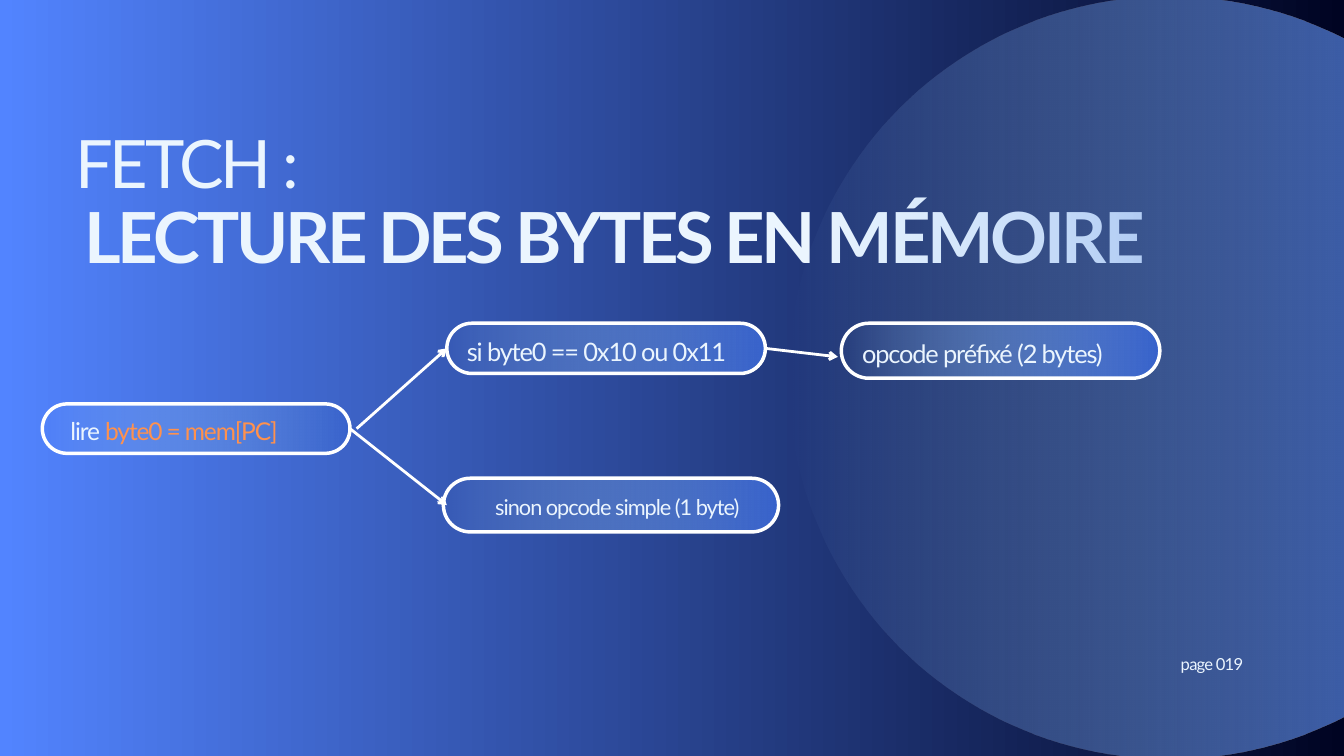
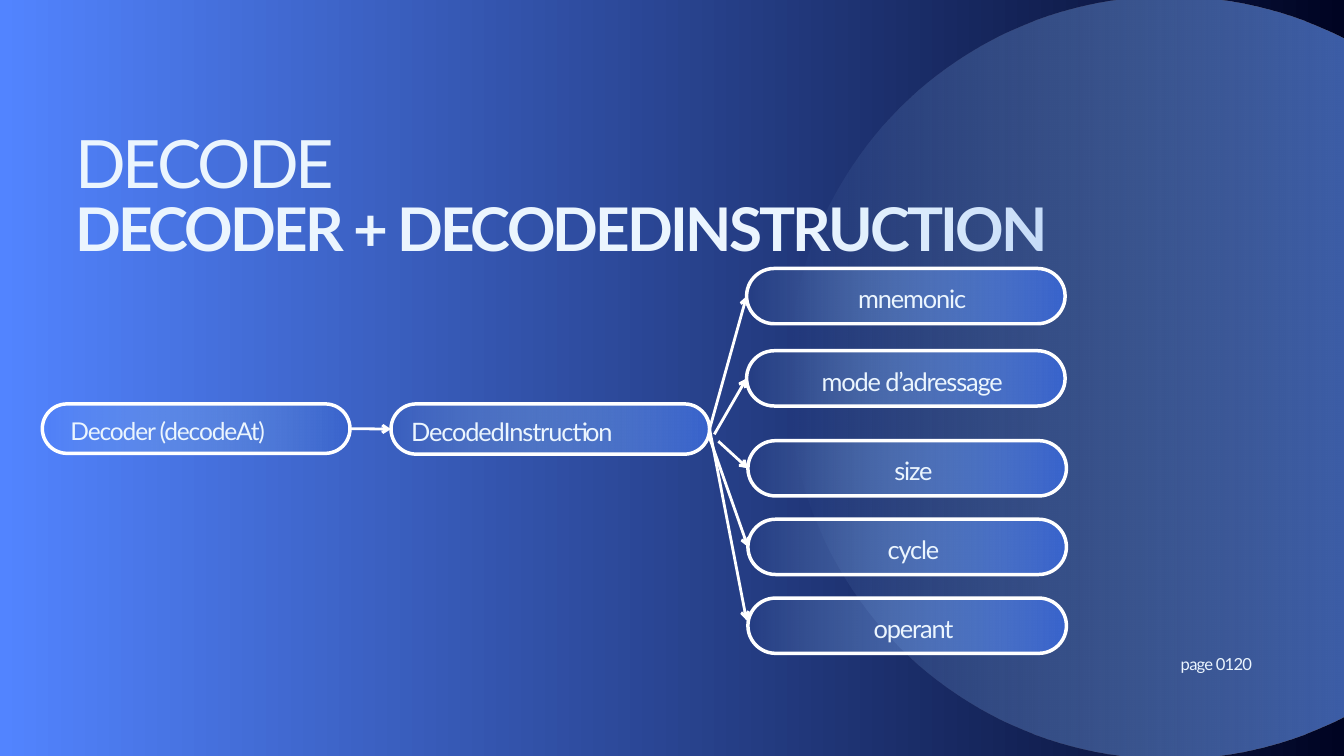
"""Build two slides on the fetch and decode steps of a processor emulator."""
from lxml import etree
from pptx import Presentation
from pptx.dml.color import RGBColor
from pptx.enum.shapes import MSO_CONNECTOR, MSO_SHAPE
from pptx.enum.text import MSO_ANCHOR, MSO_AUTO_SIZE, PP_ALIGN
from pptx.oxml.ns import qn
from pptx.util import Cm, Pt

LEFT, CENTER = PP_ALIGN.LEFT, PP_ALIGN.CENTER
TOP, MIDDLE = MSO_ANCHOR.TOP, MSO_ANCHOR.MIDDLE
NO_AUTOFIT = MSO_AUTO_SIZE.NONE
PILL, DISC = MSO_SHAPE.ROUNDED_RECTANGLE, MSO_SHAPE.OVAL
STRAIGHT = MSO_CONNECTOR.STRAIGHT
LEFT_SITE, RIGHT_SITE = 1, 3

FONT = "Lato"
PALE, WHITE, ORANGE = "EBF5FE", "FFFFFF", "FF914D"
NIGHT = ("5284FF", "000422")
GLASS = ("9FCDFF", "3964CD")


def color(value):
    return RGBColor.from_string(value)


def cm(*values):
    return [Cm(value) for value in values]


def paint_gradient(fill, colors):
    fill.gradient()
    fill.gradient_angle = 0
    for stop, value in zip(fill.gradient_stops, colors):
        stop.color.rgb = color(value)


def add_glass(slide, kind, box):
    """Add a shape whose fill fades in from clear to blue."""
    glass = slide.shapes.add_shape(kind, *cm(*box))
    glass.shadow.inherit = False
    paint_gradient(glass.fill, GLASS)
    clear = glass.element.spPr.find(".//" + qn("a:srgbClr"))
    etree.SubElement(clear, qn("a:alpha")).set("val", "0")
    return glass


def write(frame, parts, size, align=LEFT, anchor=TOP, indent=0, bold=False):
    """Write one paragraph of (text, color) parts; None keeps the pale color."""
    frame.word_wrap = True
    frame.auto_size = NO_AUTOFIT
    frame.vertical_anchor = anchor
    frame.margin_top = frame.margin_right = frame.margin_bottom = 0
    frame.margin_left = Cm(indent)
    line = frame.paragraphs[0]
    line.alignment = align
    line.space_before = Pt(0)
    line.line_spacing = Pt(size * 1.4)
    line.font.name = FONT
    line.font.size = Pt(size)
    line.font.bold = bold
    line.font.color.rgb = color(PALE)
    tracking = str(round(-4.6 * size))
    line._p.pPr.find(qn("a:defRPr")).set("spc", tracking)
    for text, tint in parts:
        run = line.add_run()
        run.text = text
        if tint:
            run.font.color.rgb = color(tint)


def place(holder, box, text, size, bold=False):
    holder.left, holder.top, holder.width, holder.height = cm(*box)
    write(holder.text_frame, [(text, None)], size, bold=bold)


def add_page(deck, step, subject, subject_box, subject_size, number):
    """Add a slide with the shared background, heading and page number."""
    slide = deck.slides.add_slide(deck.slide_layouts[0])
    paint_gradient(slide.background.fill, NIGHT)
    add_glass(slide, DISC, (29.82, -0.13, 28.8, 28.8)).line.fill.background()
    place(slide.shapes.title, (2.84, 4.09, 47.96, 3.38), step, 71.5)
    place(slide.placeholders[1], subject_box, subject, subject_size, True)
    footer = slide.shapes.add_textbox(*cm(44.63, 24.61, 3.3, 0.84))
    write(footer.text_frame, [(number, None)], 17.8)
    return slide


def add_pill(slide, box, parts, size=27.2, align=LEFT, indent=0.48):
    pill = add_glass(slide, PILL, box)
    pill.adjustments[0] = 0.5
    pill.line.color.rgb = color(WHITE)
    pill.line.width = Pt(3.75)
    write(pill.text_frame, parts, size, align, MIDDLE, indent)
    return pill


def add_entry(slide, parts):
    return add_pill(slide, (1.6, 15.27, 11.63, 1.87), parts, 26.3, indent=0.79)


def add_arrow(slide, source, target, start=(0, 0), end=(0, 0)):
    """Join two pills, gluing each end that has no offset."""
    start_x, start_y = cm(*start)
    end_x, end_y = cm(*end)
    arrow = slide.shapes.add_connector(
        STRAIGHT,
        source.left + source.width + start_x,
        source.top + source.height // 2 + start_y,
        target.left + end_x,
        target.top + target.height // 2 + end_y)
    if not any(start):
        arrow.begin_connect(source, RIGHT_SITE)
    if not any(end):
        arrow.end_connect(target, LEFT_SITE)
    arrow.line.color.rgb = color(WHITE)
    arrow.line.width = Pt(3)
    properties = arrow.element.spPr
    etree.SubElement(properties.find(qn("a:ln")), qn("a:tailEnd")).set("type", "arrow")
    etree.SubElement(properties, qn("a:effectLst"))


def build_fetch(deck):
    slide = add_page(deck, "FETCH :", "LECTURE DES BYTES EN MÉMOIRE",
                     (3.18, 6.76, 43.46, 3.58), 75.5, "page 019")
    prefix_test = add_pill(slide, (16.89, 12.22, 12.04, 1.9),
                           [("si byte0 == 0x10 ou 0x11", None)])
    read = add_entry(slide, [("lire ", None), ("byte0 = mem[PC]", ORANGE)])
    simple = add_pill(slide, (16.76, 18.08, 12.67, 2.03),
                      [("sinon opcode simple (1 byte)", None)], 23.3, CENTER)
    prefixed = add_pill(slide, (31.8, 12.22, 12.04, 2.08),
                        [("opcode préfixé (2 bytes)", None)])
    add_arrow(slide, read, prefix_test, start=(0.25, 0))
    add_arrow(slide, read, simple, end=(0.13, 0))
    add_arrow(slide, prefix_test, prefixed, end=(-0.13, 0.23))


def build_decode(deck):
    slide = add_page(deck, "DECODE", "DECODER + DECODEDINSTRUCTION",
                     (2.84, 6.76, 46.48, 3.07), 64.5, "page 0120")
    instruction = add_pill(slide, (14.78, 15.27, 12.04, 1.9),
                           [("DecodedInstruction", None)])
    decoder = add_entry(slide, [("Decoder (decodeAt)", None)])
    add_arrow(slide, decoder, instruction)
    fields = [
        ("mnemonic", 28.22, 10.15, (0, 0), (0, 0)),
        ("mode d’adressage", 28.22, 13.26, (0.18, 0.2), (0, 0)),
        ("size", 28.27, 16.66, (0.33, 0.46), (0, 0)),
        ("cycle", 28.27, 19.63, (0, 0.33), (0, 0)),
        ("operant", 28.27, 22.61, (0, 0), (-0.05, -0.2)),
    ]
    for name, left, top, start, end in fields:
        field = add_pill(slide, (left, top, 12.04, 2.09), [(name, None)],
                         align=CENTER)
        add_arrow(slide, instruction, field, start, end)


def main():
    deck = Presentation()
    deck.slide_width, deck.slide_height = cm(50.8, 28.58)
    build_fetch(deck)
    build_decode(deck)
    deck.save("out.pptx")


if __name__ == "__main__":
    main()
